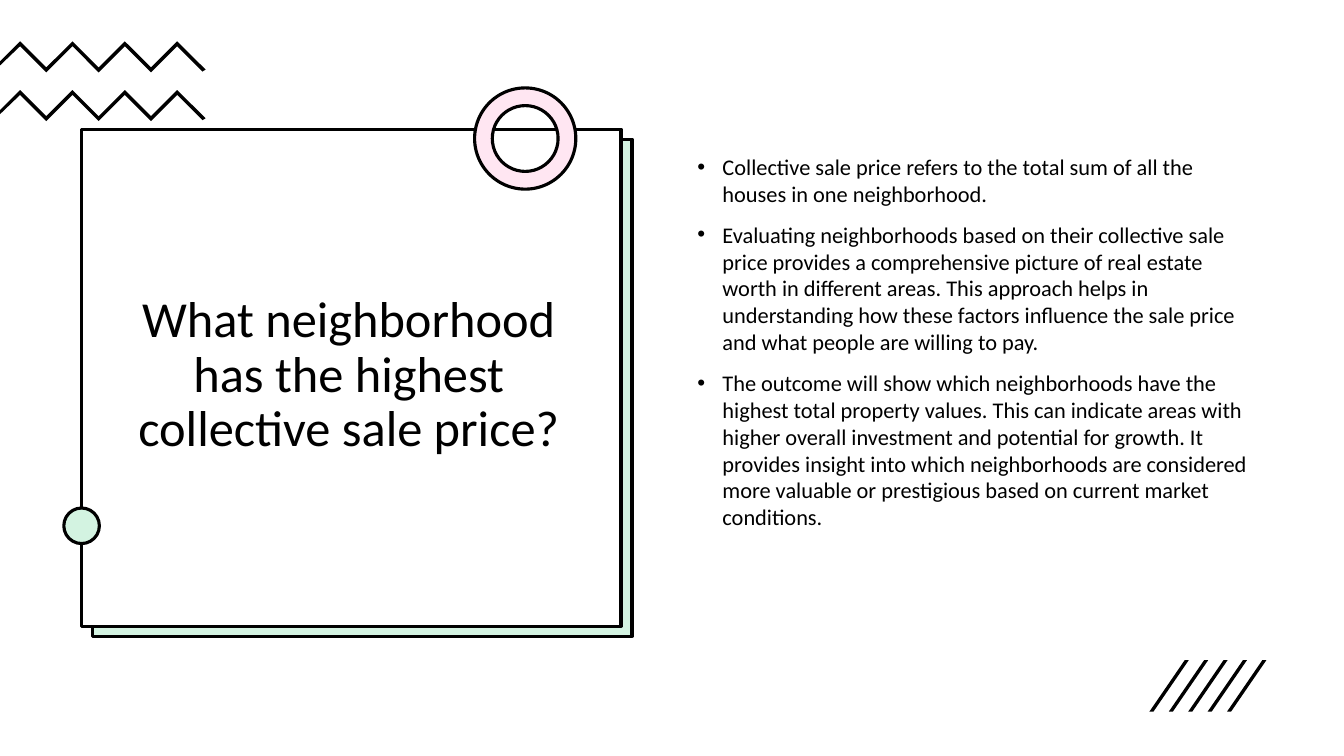
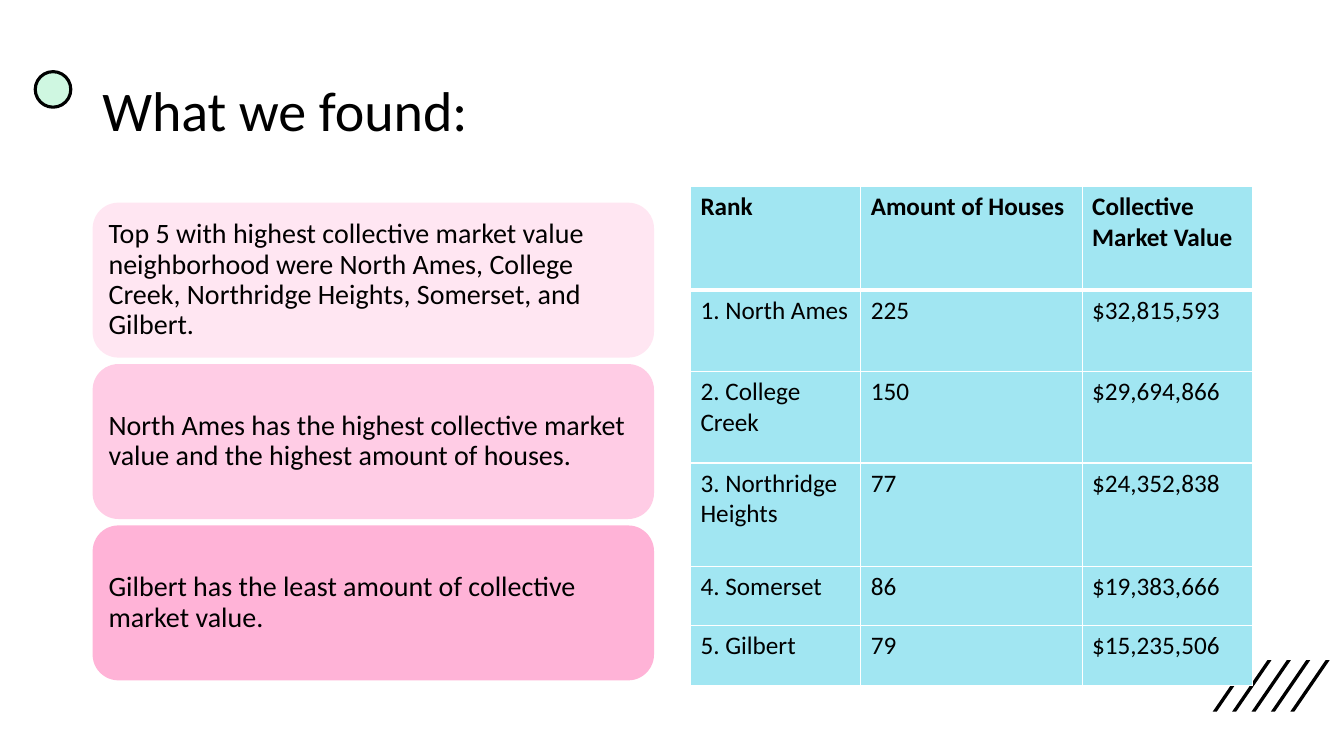
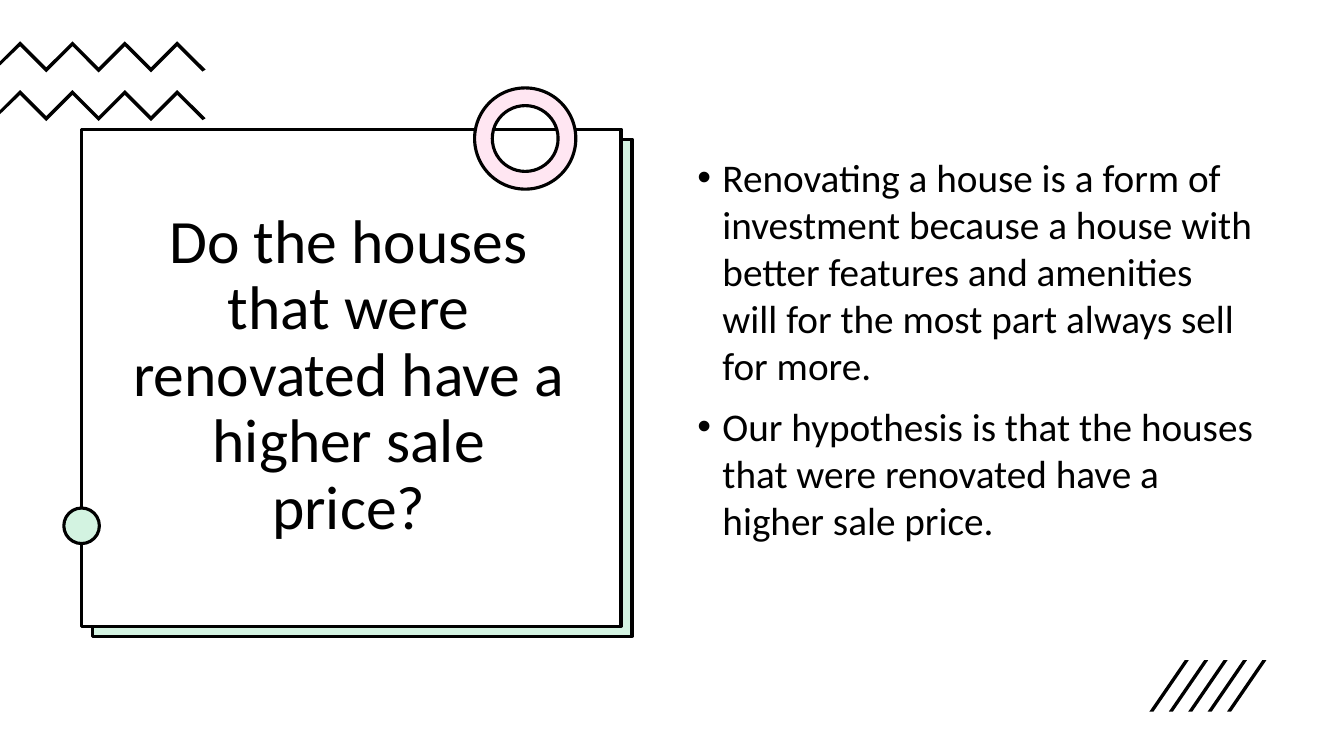
from pptx import Presentation
from pptx.dml.color import RGBColor as RGB
from pptx.enum.shapes import MSO_SHAPE as SHAPE
from pptx.enum.text import MSO_ANCHOR as ANCHOR, PP_ALIGN as ALIGN
from pptx.oxml.ns import qn
from pptx.util import Pt
from lxml.etree import SubElement

FONT = "Calibri"
OUTLINE = 2.25
COLORS = {
    "ink": "000000", "paper": "FFFFFF", "mint": "D3F3E1", "light_mint": "CFF7E1",
    "blush": "FFE6F2", "pink": "FFCCE5", "rose": "FFB3D7", "aqua": "A1E6F2",
}

FINDINGS = [
    ("blush", "Top 5 with highest collective market value neighborhood were North Ames, "
              "College Creek, Northridge Heights, Somerset, and Gilbert."),
    ("pink", "North Ames has the highest collective market value and the highest amount of houses."),
    ("rose", "Gilbert has the least amount of collective market value."),
]
RANKING = [
    ("Rank", "Amount of Houses", "Collective Market Value"),
    ("1. North Ames", "225", "$32,815,593"),
    ("2. College Creek", "150", "$29,694,866"),
    ("3. Northridge Heights", "77", "$24,352,838"),
    ("4. Somerset", "86", "$19,383,666"),
    ("5. Gilbert", "79", "$15,235,506"),
]


def color(name):
    return RGB.from_string(COLORS[name])


def write(frame, *lines, size, bold=False, align=ALIGN.LEFT, spacing=1.0,
          before=0, anchor=None, bullet=None, indent=18):
    """Fill a text frame with one paragraph per line."""
    frame.word_wrap = True
    if anchor is not None:
        frame.vertical_anchor = anchor
    for index, line in enumerate(lines):
        paragraph = frame.paragraphs[0] if index == 0 else frame.add_paragraph()
        paragraph.alignment = align
        paragraph.line_spacing = spacing
        paragraph.space_before = Pt(before)
        run = paragraph.add_run()
        run.text = line
        run.font.name, run.font.size, run.font.bold = FONT, Pt(size), bold
        run.font.color.rgb = color("ink")
        if bullet:
            props = paragraph._p.get_or_add_pPr()
            props.set("marL", str(Pt(indent)))
            props.set("indent", str(-Pt(indent)))
            SubElement(props, qn("a:buFont")).set("typeface", "Arial")
            SubElement(props, qn("a:buChar")).set("char", bullet)


def textbox(slide, box, *lines, **style):
    frame = slide.shapes.add_textbox(*map(Pt, box)).text_frame
    write(frame, *lines, **style)


def paint(shape, fill, outlined=False):
    shape.shadow.inherit = False
    shape.fill.solid()
    shape.fill.fore_color.rgb = color(fill)
    if outlined:
        shape.line.color.rgb = color("ink")
        shape.line.width = Pt(OUTLINE)
    else:
        shape.line.fill.background()
    return shape


def add_shape(slide, kind, box, fill, outlined=False):
    return paint(slide.shapes.add_shape(kind, *map(Pt, box)), fill, outlined)


def add_outline(slide, left, top, points):
    start, *rest = [(Pt(left + x), Pt(top + y)) for x, y in points]
    builder = slide.shapes.build_freeform(*start)
    builder.add_line_segments(rest, close=True)
    paint(builder.convert_to_shape(), "ink")


def zigzags(slide, left, top, count=2, gap=34.8, turns=7, step=18.7, thickness=3.5):
    """Stacked zigzag bands entering from the slide's edge."""
    crest = [(14.4 + step * i, step * (i % 2)) for i in range(turns)]
    lower = [(x, y + thickness) for x, y in reversed(crest)]
    band = [(0, 14.4), *crest, (146.9, 20.2), (144.7, 21.6), *lower, (0, 17.3)]
    for row in range(count):
        add_outline(slide, left, top + row * gap, band)


def hatching(slide, left, top=471.6, count=5, step=13.86):
    """Row of slanted strokes in the lower right corner."""
    stroke = [(2.9, 36.7), (0, 36.7), (25.2, 0), (28.1, 0)]
    for i in range(count):
        add_outline(slide, left + i * step, top, stroke)


def dot(slide, left, top, fill):
    add_shape(slide, SHAPE.OVAL, (left, top, 25.4, 25.4), fill, True)


def question_card(slide, box, question, size):
    """Framed question with an offset backing, a ring and a dot."""
    left, top, width, height = box
    add_shape(slide, SHAPE.RECTANGLE, (left + 7.9, top + 7.2, width, height), "mint", True)
    add_shape(slide, SHAPE.RECTANGLE, box, "paper", True)
    textbox(slide, (left + 28.8, top + 7.2, 324, 338.4), question, size=size,
            align=ALIGN.CENTER, spacing=0.9, anchor=ANCHOR.MIDDLE)
    ring = add_shape(slide, SHAPE.DONUT, (left + 280.6, top - 29.5, 72.3, 72.3), "blush", True)
    ring.adjustments[0] = 0.175
    dot(slide, left - 12.8, top + 270.6, "mint")


def question_slide(slide, question, points, question_size, point_size):
    zigzags(slide, 0, 29.5)
    question_card(slide, (58.4, 92.3, 385.2, 355), question, question_size)
    textbox(slide, (491, 105.8, 411.1, 342.7), *points, size=point_size, before=10, bullet="•")
    hatching(slide, 821)


def finding_cards(slide, box, gap=4.6):
    """Equal cards stacked to fill the box."""
    left, top, width, height = box
    card_height = (height - gap * (len(FINDINGS) - 1)) / len(FINDINGS)
    for i, (fill, finding) in enumerate(FINDINGS):
        card = add_shape(slide, SHAPE.ROUNDED_RECTANGLE,
                         (left, top + i * (card_height + gap), width, card_height), fill)
        frame = card.text_frame
        frame.margin_left = frame.margin_right = frame.margin_top = frame.margin_bottom = Pt(6)
        write(frame, finding, size=20, spacing=0.9, anchor=ANCHOR.MIDDLE)


def cell_borders(cell, **widths):
    props = cell._tc.get_or_add_tcPr()
    for side in "LRTB":
        line = SubElement(props, qn(f"a:ln{side}"), w=str(Pt(widths.get(side, 1))))
        solid = SubElement(line, qn("a:solidFill"))
        SubElement(solid, qn("a:srgbClr"), val=COLORS["paper"])


def ranking_table(slide, box):
    table = slide.shapes.add_table(len(RANKING), len(RANKING[0]), *map(Pt, box)).table
    table.horz_banding = False
    for column, width in zip(table.columns, (121.6, 158.2, 121.6)):
        column.width = Pt(width)
    for row, height in zip(table.rows, (74.2, 58.2, 65.2, 73.6, 42.6, 42.6)):
        row.height = Pt(height)
    for r, entries in enumerate(RANKING):
        # Heavy rule between header and body
        rule = {0: {"B": 3}, 1: {"T": 3}}.get(r, {})
        for c, entry in enumerate(entries):
            cell = table.cell(r, c)
            cell_borders(cell, **rule)
            cell.fill.solid()
            cell.fill.fore_color.rgb = color("aqua")
            write(cell.text_frame, entry, size=18, bold=r == 0)


def findings_slide(slide, title):
    hatching(slide, 866.2)
    dot(slide, 25.2, 51.2, "light_mint")
    textbox(slide, (66, 28.8, 828, 104.4), title, size=40, spacing=0.9, anchor=ANCHOR.MIDDLE)
    finding_cards(slide, (66.2, 144.8, 401, 341.2))
    ranking_table(slide, (493.2, 133.2, 401.4, 356.4))


def main():
    deck = Presentation()
    deck.slide_width, deck.slide_height = Pt(960), Pt(540)

    def new_slide():
        slide = deck.slides.add_slide(deck.slide_layouts[6])
        slide.background.fill.solid()
        slide.background.fill.fore_color.rgb = color("paper")
        return slide

    question_slide(
        new_slide(), "What neighborhood has the highest collective sale price?",
        ["Collective sale price refers to the total sum of all the houses in one neighborhood.",
         "Evaluating neighborhoods based on their collective sale price provides a comprehensive "
         "picture of real estate worth in different areas. This approach helps in understanding "
         "how these factors influence the sale price and what people are willing to pay.",
         "The outcome will show which neighborhoods have the highest total property values. "
         "This can indicate areas with higher overall investment and potential for growth. "
         "It provides insight into which neighborhoods are considered more valuable or "
         "prestigious based on current market conditions."],
        question_size=36, point_size=16)
    findings_slide(new_slide(), "What we found:")
    question_slide(
        new_slide(), "Do the houses that were renovated have a higher sale price?",
        ["Renovating a house is a form of investment because a house with better features and "
         "amenities will for the most part always sell for more.",
         "Our hypothesis is that the houses that were renovated have a higher sale price."],
        question_size=44, point_size=28)
    deck.save("out.pptx")


if __name__ == "__main__":
    main()
